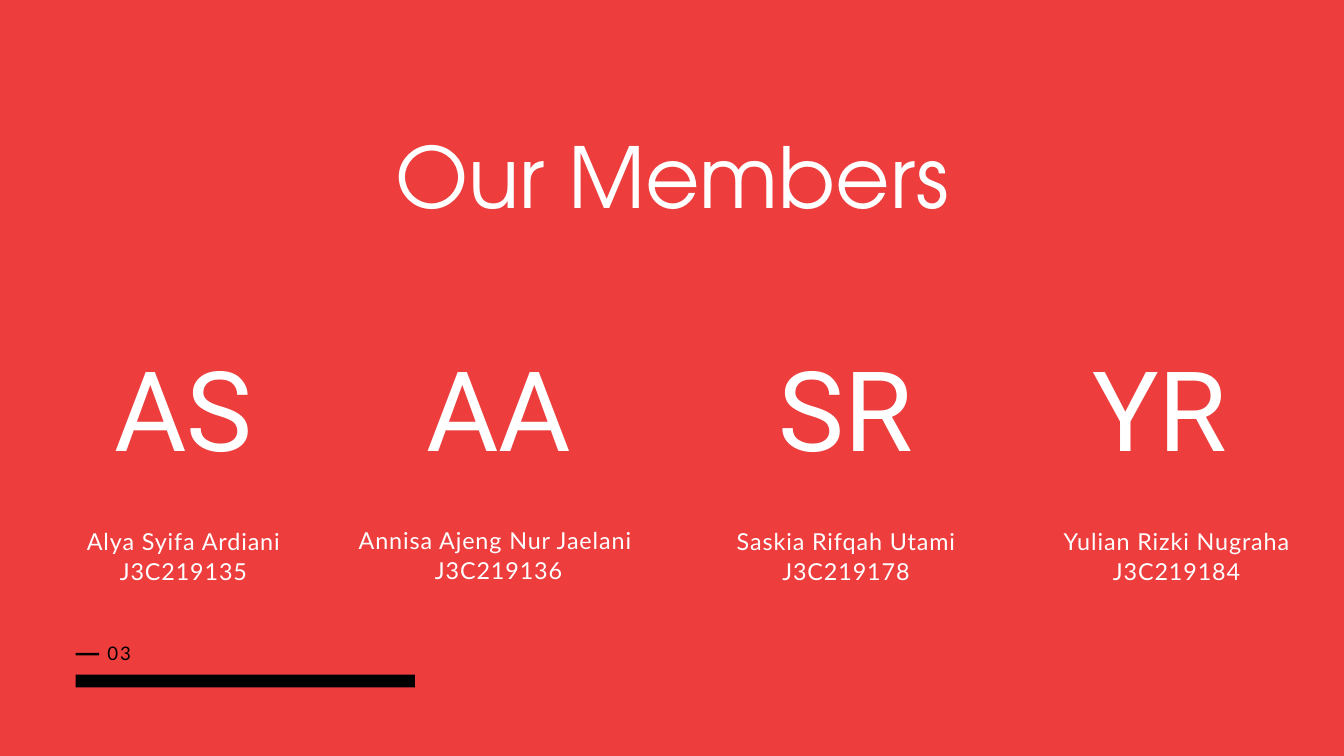
import pptx
import pptx.util
import pptx.dml.color
import pptx.enum.shapes
import pptx.enum.text

COLOURS = {"red": "ED3D3D", "white": "FFFFFF", "black": "000000"}
COLUMNS, ROWS = 80, 45  # square cells, a quarter inch each
ALIGN = pptx.enum.text.PP_ALIGN


class SlideBuilder:
    def __init__(self, deck, background):
        self.cell_width = deck.slide_width / COLUMNS
        self.cell_height = deck.slide_height / ROWS
        self.page = deck.slides.add_slide(deck.slide_layouts[6])
        self.paint(self.page.background.fill, background)

    def paint(self, fill, colour):
        fill.solid()
        fill.fore_color.rgb = pptx.dml.color.RGBColor.from_string(COLOURS[colour])

    def place(self, column, row, width, height):
        return (round(column * self.cell_width), round(row * self.cell_height),
                round(width * self.cell_width), round(height * self.cell_height))

    def text(self, area, lines, font, size, leading, colour="white",
             align=ALIGN.CENTER, spacing=0):
        box = self.page.shapes.add_textbox(*self.place(*area))
        frame = box.text_frame
        frame.word_wrap = True
        frame.auto_size = pptx.enum.text.MSO_AUTO_SIZE.SHAPE_TO_FIT_TEXT
        frame.margin_left = frame.margin_right = 0
        frame.margin_top = frame.margin_bottom = 0
        for index, line in enumerate(lines):
            para = frame.add_paragraph() if index else frame.paragraphs[0]
            para.alignment = align
            para.line_spacing = pptx.util.Pt(leading)
            span = para.add_run()
            span.text = line
            span.font.name = font
            span.font.size = pptx.util.Pt(size)
            self.paint(span.font.fill, colour)
            if spacing:
                span.font._element.set("spc", str(spacing * 100))

    def bar(self, area, colour="black"):
        shape = self.page.shapes.add_shape(
            pptx.enum.shapes.MSO_SHAPE.RECTANGLE, *self.place(*area))
        shape.shadow.inherit = False
        self.paint(shape.fill, colour)
        shape.line.fill.background()


def main():
    deck = pptx.Presentation()
    deck.slide_width = pptx.util.Inches(20)
    deck.slide_height = pptx.util.Inches(11.25)
    slide = SlideBuilder(deck, "red")

    # Title
    slide.text((21.8, 7.92, 36.44, 5.52), ["Our Members"],
               "TeX Gyre Adventor", 90, 99)

    # Members: initials, their centre, name, number, name centre, top and width
    members = [
        ("AS", 10.92, "Alya Syifa Ardiani", "J3C219135", 10.92, 31.24, 12.88),
        ("AA", 29.68, "Annisa Ajeng Nur Jaelani ", "J3C219136", 29.68, 31.16, 18),
        ("SR", 50.36, "Saskia Rifqah Utami", "J3C219178", 50.36, 31.24, 14.88),
        ("YR", 69.04, "Yulian Rizki Nugraha", "J3C219184", 70.04, 31.24, 14.88),
    ]
    initials_width = 11.28
    for initials, centre, name, number, name_centre, top, width in members:
        slide.text((centre - initials_width / 2, 18.92, initials_width, 8.84),
                   [initials], "Roboto", 119, 166.7)
        slide.text((name_centre - width / 2, top, width, 3.56),
                   [name, number], "Lato", 25, 32.5, spacing=1)

    # Page number with its dash, above the footer bar
    slide.bar((4.5, 40.16, 20.2, 0.76))
    slide.text((5.8, 38.2, 2, 1.4), ["03"], "Lato", 20, 24,
               colour="black", align=ALIGN.RIGHT, spacing=2)
    slide.bar((4.5, 38.86, 1.4, 0.16))

    deck.save("out.pptx")


if __name__ == "__main__":
    main()
